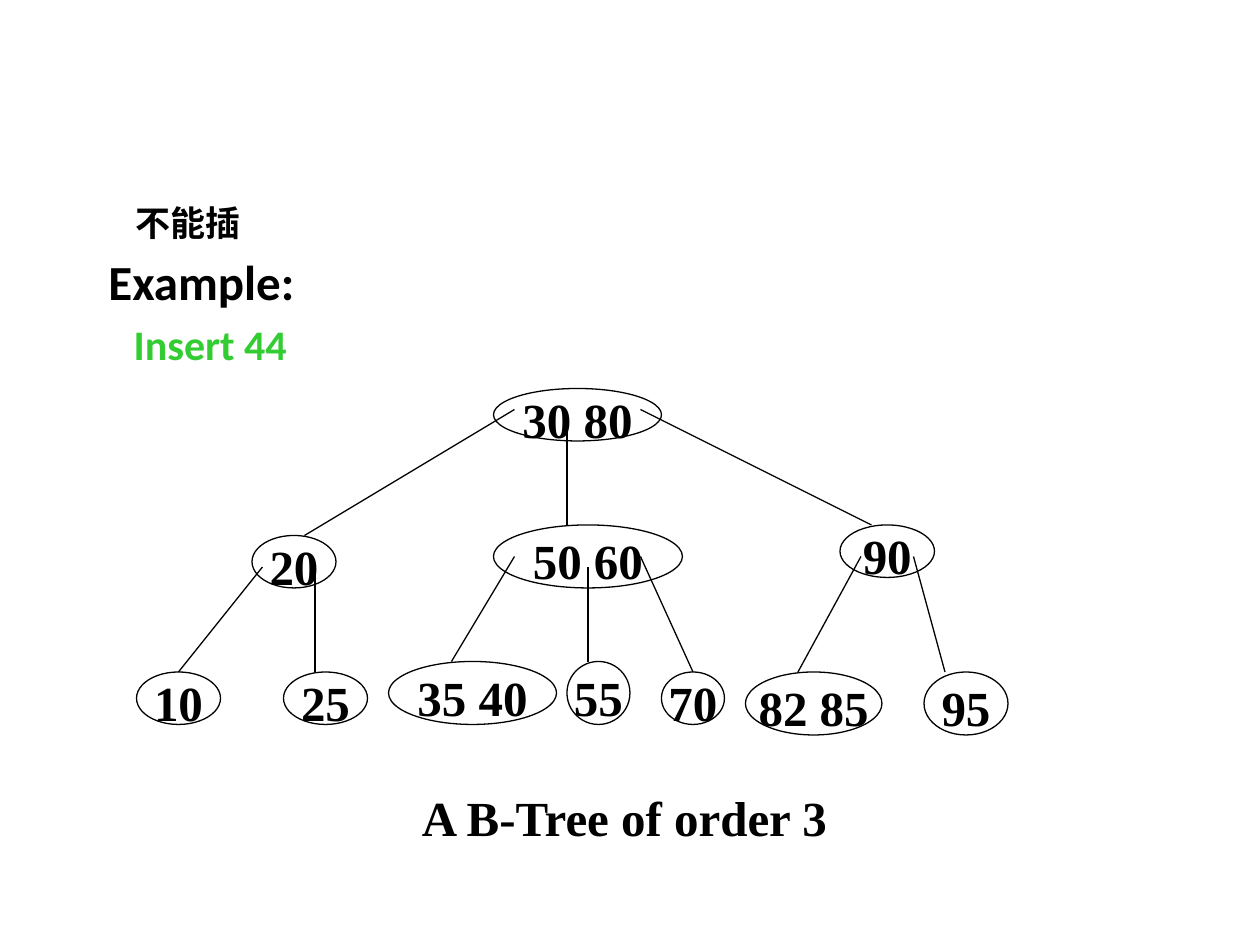
from lxml import etree
from pptx import Presentation
from pptx import util as u
from pptx.dml.color import RGBColor
from pptx.enum import shapes, text
from pptx.oxml.ns import qn

THEME = {
    "ink": RGBColor(0x00, 0x00, 0x00),
    "accent": RGBColor(0x33, 0xCC, 0x33),
    "serif": "Times New Roman",
    "sans": "Calibri",
    "large": 28,
    "medium": 24,
    "small": 20,
    "line": 0.75,
}

HEADINGS = [
    ("Example:", "large", "ink", 0.07),
    ("Insert 44", "medium", "accent", 0.27),
]

# Tree geometry is counted in twelfths of an inch.
GRID = 1 / 12
NODES = [
    ("30 80", 47, 37, 16, 5),
    ("20", 24, 51, 8, 5),
    ("50 60", 47, 50, 18, 6),
    ("90", 80, 50, 9, 5),
    ("10", 13, 64, 8, 5),
    ("25", 27, 64, 8, 5),
    ("35 40", 37, 63, 16, 6),
    ("55", 54, 63, 6, 6),
    ("70", 63, 64, 6, 5),
    ("82 85", 71, 64, 13, 6),
    ("95", 88, 64, 8, 6),
]
BRANCHES = [
    (49, 39, 29, 51),
    (54, 40, 54, 50),
    (61, 39, 83, 50),
    (25, 54, 17, 64),
    (30, 54, 30, 64),
    (49, 53, 43, 63),
    (56, 54, 56, 63),
    (61, 53, 66, 64),
    (82, 53, 76, 64),
    (87, 53, 90, 64),
]
LABELS = [
    ("A B-Tree of order 3", "large", (3.25, 6.16, 3.45, 0.57), 0.09, False),
    ("不能插", "small", (0.98, 1.55, 1.81, 0.43), 0.05, True),
]


def inches(values):
    return [u.Inches(value) for value in values]


def on_grid(values):
    return inches(value * GRID for value in values)


def write(paragraph, words, size, face="serif", colour="ink"):
    run = paragraph.add_run()
    run.text = words
    run.font.name = THEME[face]
    run.font.size = u.Pt(THEME[size])
    run.font.bold = True
    run.font.color.rgb = THEME[colour]


def outline(line):
    line.color.rgb = THEME["ink"]
    line.width = u.Pt(THEME["line"])


def add_headings(slide):
    body = slide.placeholders[1]
    body.left, body.top, body.width, body.height = inches((0.69, 2, 8.62, 4.76))
    frame = body.text_frame
    for index, (words, size, colour, indent) in enumerate(HEADINGS):
        paragraph = frame.add_paragraph() if index else frame.paragraphs[0]
        properties = paragraph._p.get_or_add_pPr()
        properties.set("marL", str(u.Inches(indent)))
        properties.set("indent", "0")
        etree.SubElement(properties, qn("a:buNone"))
        paragraph.line_spacing = 0.9
        paragraph.space_before = u.Pt(7.5 if index else 0)
        write(paragraph, words, size, "sans", colour)


def add_node(tree, keys, *box):
    node = tree.shapes.add_shape(shapes.MSO_SHAPE.OVAL, *on_grid(box))
    node.shadow.inherit = False
    node.fill.background()
    outline(node.line)
    frame = node.text_frame
    frame.word_wrap = False
    frame.vertical_anchor = text.MSO_ANCHOR.MIDDLE
    frame.margin_top = u.Inches(0.11)
    paragraph = frame.paragraphs[0]
    paragraph.alignment = text.PP_ALIGN.CENTER
    write(paragraph, keys, "large")


def add_branch(tree, ends):
    branch = tree.shapes.add_connector(shapes.MSO_CONNECTOR.STRAIGHT, *on_grid(ends))
    outline(branch.line)
    etree.SubElement(branch._element.spPr, qn("a:effectLst"))


def add_label(slide, words, size, box, top_margin, wrap):
    frame = slide.shapes.add_textbox(*inches(box)).text_frame
    frame.word_wrap = wrap
    frame.margin_top = u.Inches(top_margin)
    write(frame.paragraphs[0], words, size)


def main():
    deck = Presentation()
    deck.slide_width, deck.slide_height = inches((10, 7.5))
    slide = deck.slides.add_slide(deck.slide_layouts[1])
    title = slide.shapes.title._element
    title.getparent().remove(title)
    add_headings(slide)
    tree = slide.shapes.add_group_shape()
    for node in NODES:
        add_node(tree, *node)
    for ends in BRANCHES:
        add_branch(tree, ends)
    for label in LABELS:
        add_label(slide, *label)
    deck.save("out.pptx")


if __name__ == "__main__":
    main()
